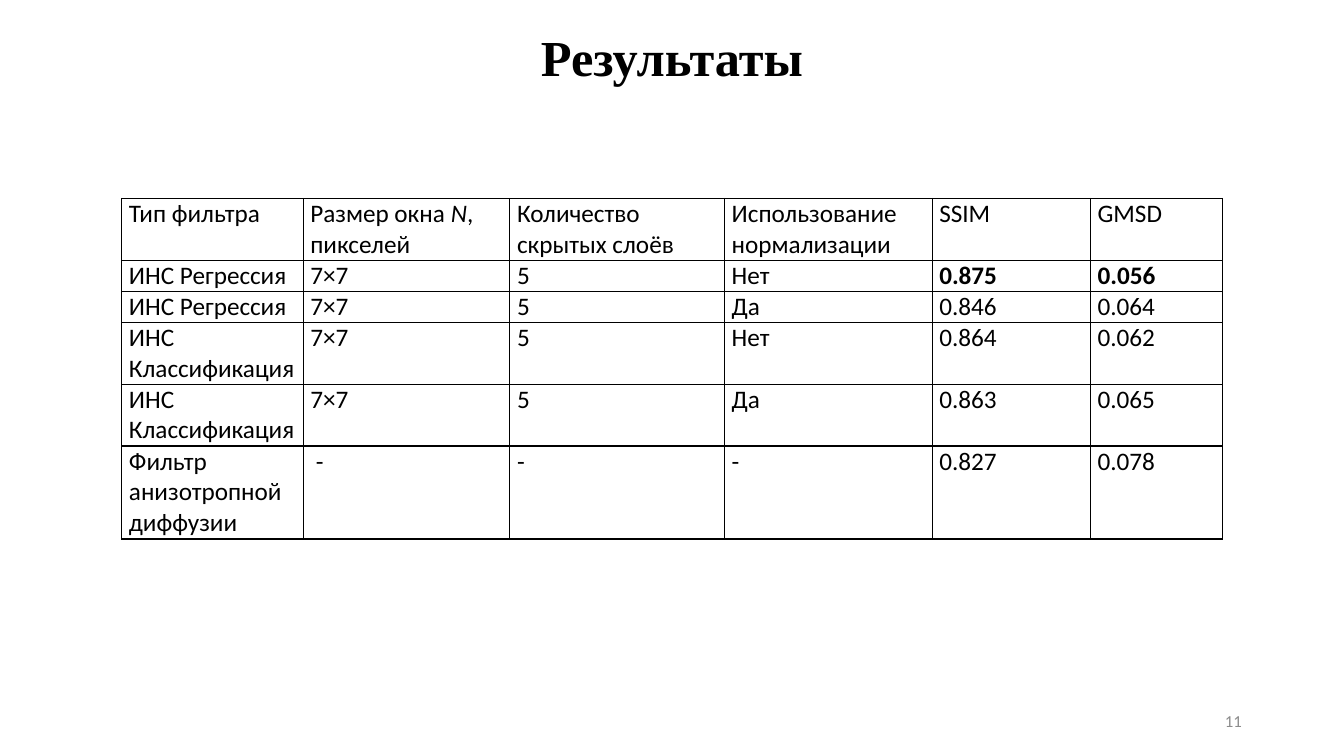
from dataclasses import dataclass

from lxml.etree import SubElement
from pptx import Presentation
from pptx.dml.color import RGBColor
from pptx.enum.text import MSO_ANCHOR, PP_ALIGN
from pptx.oxml.ns import qn
from pptx.util import Cm, Pt


@dataclass(frozen=True)
class Theme:
    ink: str = "000000"
    muted: str = "8C8C8C"
    heading_font: str = "Times New Roman"
    body_font: str = "Calibri"
    title_size: int = 36
    table_size: int = 18
    number_size: int = 12
    border_width: int = 1


THEME = Theme()
COLUMN_WIDTHS = (4.57, 5.21, 5.41, 5.23, 3.99, 3.33)
LINES_PER_ROW = (2, 1, 1, 2, 2, 3)
LINE_HEIGHT = 0.78
BEST_ROW = 1
SCORE_COLUMNS = (4, 5)
RESULTS = (
    ("Тип фильтра", "Размер окна ", "Количество скрытых слоёв",
     "Использование нормализации", "SSIM", "GMSD"),
    ("ИНС Регрессия", "7×7", "5", "Нет", "0.875", "0.056"),
    ("ИНС Регрессия", "7×7", "5", "Да", "0.846", "0.064"),
    ("ИНС Классификация", "7×7", "5", "Нет", "0.864", "0.062"),
    ("ИНС Классификация", "7×7", "5", "Да", "0.863", "0.065"),
    ("Фильтр анизотропной диффузии", " -", "-", "- ", "0.827", "0.078"),
)


def style_span(span, font, size, color, bold=False):
    span.font.name = font
    span.font.size = Pt(size)
    span.font.color.rgb = RGBColor.from_string(color)
    span.font.bold = bold


def add_label(page, text, left, top, width, height, align, font, size, color, bold=False):
    box = page.shapes.add_textbox(Cm(left), Cm(top), Cm(width), Cm(height))
    frame = box.text_frame
    frame.word_wrap = True
    frame.vertical_anchor = MSO_ANCHOR.MIDDLE
    frame.text = text
    para = frame.paragraphs[0]
    para.alignment = align
    style_span(para.runs[0], font, size, color, bold)
    return para


def add_borders(cell):
    properties = cell._tc.get_or_add_tcPr()
    for position, side in enumerate(("lnL", "lnR", "lnT", "lnB")):
        line = SubElement(properties, qn(f"a:{side}"), w=str(Pt(THEME.border_width)))
        properties.insert(position, line)
        fill = SubElement(line, qn("a:solidFill"))
        SubElement(fill, qn("a:srgbClr"), val=THEME.ink)


def format_cell(cell, bold):
    cell.margin_left = cell.margin_right = Cm(0.18)
    cell.margin_top = cell.margin_bottom = Cm(0)
    cell.fill.background()
    add_borders(cell)
    for span in cell.text_frame.paragraphs[0].runs:
        style_span(span, THEME.body_font, THEME.table_size, THEME.ink, bold)


def add_window_symbol(cell):
    para = cell.text_frame.paragraphs[0]
    symbol = para.add_run()
    symbol.text = "N"
    symbol.font.italic = True
    para.add_run().text = ", пикселей"


def add_results_table(page):
    table = page.shapes.add_table(
        len(RESULTS), len(COLUMN_WIDTHS), Cm(3.07), Cm(5),
        Cm(sum(COLUMN_WIDTHS)), Cm(sum(LINES_PER_ROW) * LINE_HEIGHT),
    ).table
    table.first_row = table.horz_banding = False
    for column, width in zip(table.columns, COLUMN_WIDTHS):
        column.width = Cm(width)
    for row, lines in zip(table.rows, LINES_PER_ROW):
        row.height = Cm(lines * LINE_HEIGHT)
    for row_index, values in enumerate(RESULTS):
        for column_index, value in enumerate(values):
            table.cell(row_index, column_index).text_frame.text = value
    add_window_symbol(table.cell(0, 1))
    for row_index in range(len(RESULTS)):
        for column_index in range(len(COLUMN_WIDTHS)):
            best = row_index == BEST_ROW and column_index in SCORE_COLUMNS
            format_cell(table.cell(row_index, column_index), best)


def main():
    deck = Presentation()
    deck.slide_width, deck.slide_height = Cm(33.87), Cm(19.05)
    page = deck.slides.add_slide(deck.slide_layouts[6])
    add_label(page, "11", 23.93, 17.65, 7.62, 1.02, PP_ALIGN.RIGHT,
              THEME.body_font, THEME.number_size, THEME.muted)
    add_results_table(page)
    title = add_label(page, "Результаты", 2.95, 0.28, 27.97, 2.46, PP_ALIGN.CENTER,
                      THEME.heading_font, THEME.title_size, THEME.ink, bold=True)
    title.line_spacing = 0.9
    deck.save("out.pptx")


if __name__ == "__main__":
    main()
